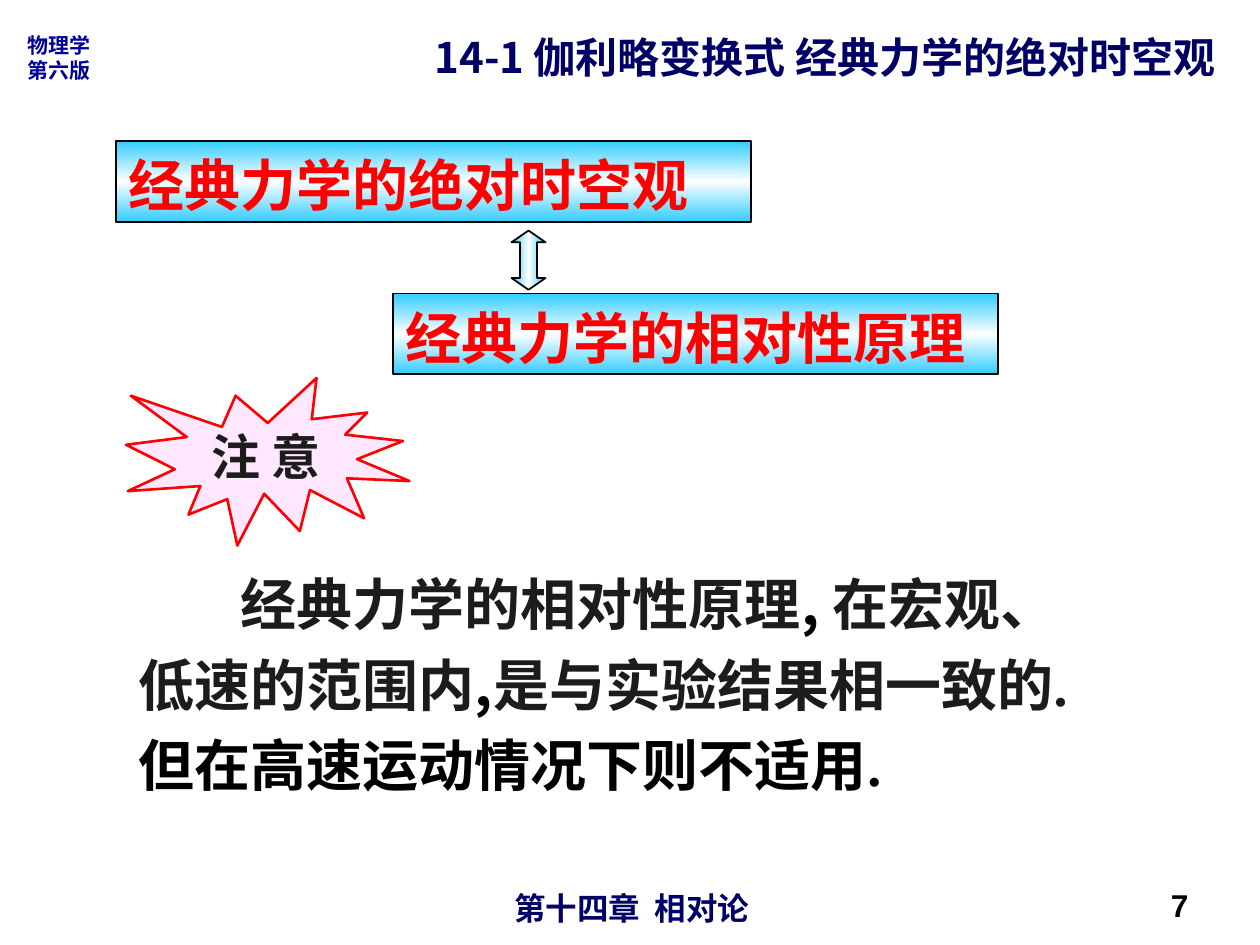
from copy import deepcopy

from lxml.etree import SubElement
from pptx import Presentation
from pptx.dml.color import RGBColor
from pptx.enum.shapes import MSO_SHAPE as Shape
from pptx.enum.text import MSO_ANCHOR as Anchor, PP_ALIGN as Align
from pptx.oxml.ns import qn
from pptx.util import Inches, Pt

ARIAL, NOTO, TIMES = "Arial", "Noto Sans CJK SC", "Times New Roman"
NAVY, BLUE, RED, INK, BLACK = "000066", "000099", "FF0000", "1C1C1C", "000000"
SKY, WHITE, PINK = "33CCFF", "FFFFFF", "FFE7FF"


def color(code):
    return RGBColor.from_string(code)


class SlideBuilder:
    """Holds the page and its style; places are percentages of the slide's size."""

    def __init__(self, deck):
        self.width, self.height = deck.slide_width, deck.slide_height
        self.page = deck.slides.add_slide(deck.slide_layouts[6])
        self.page.background.fill.solid()
        self.page.background.fill.fore_color.rgb = color(WHITE)

    def place(self, left, top, width, height):
        return (round(self.width * left / 100), round(self.height * top / 100),
                round(self.width * width / 100), round(self.height * height / 100))

    def fill_text(self, box, lines, size, anchor=Anchor.TOP, align=Align.LEFT,
                  spacing=None, margin=0.05, indent=0):
        """Each line is a list of (text, font, colour) runs."""
        frame = box.text_frame
        frame.word_wrap = True
        frame.vertical_anchor = anchor
        frame.margin_left = frame.margin_right = Inches(0.1)
        frame.margin_top = frame.margin_bottom = Inches(margin)
        for index, line in enumerate(lines):
            para = frame.add_paragraph() if index else frame.paragraphs[0]
            para.alignment = align
            if spacing:
                para.line_spacing = Pt(spacing)
            if indent:
                para._p.get_or_add_pPr().set("indent", str(Inches(indent)))
            for text, font, code in line:
                span = para.add_run()
                span.text = text
                span.font.name, span.font.size, span.font.bold = font, Pt(size), True
                span.font.color.rgb = color(code)
                SubElement(span._r.get_or_add_rPr(), qn("a:ea"), typeface=NOTO)

    def text(self, place, lines, size, **style):
        box = self.page.shapes.add_textbox(*self.place(*place))
        self.fill_text(box, lines, size, **style)

    def shape(self, kind, place, line, weight, fill=None):
        """Without a fill colour the shape gets the sky gradient."""
        box = self.page.shapes.add_shape(kind, *self.place(*place))
        box.shadow.inherit = False
        box.line.color.rgb = color(line)
        box.line.width = Pt(weight)
        if fill:
            box.fill.solid()
            box.fill.fore_color.rgb = color(fill)
        else:
            self.sky_gradient(box)
        return box

    def sky_gradient(self, box):
        box.fill.gradient()
        box.fill.gradient_angle = 90
        stops = box._element.spPr.find(".//" + qn("a:gsLst"))
        stops.insert(1, deepcopy(stops[0]))
        for stop, code, position in zip(box.fill.gradient_stops, (SKY, WHITE, SKY), (0, 0.5, 1)):
            stop.color.rgb = color(code)
            stop.position = position

    def banner(self, place, text):
        box = self.shape(Shape.RECTANGLE, place, BLACK, 1)
        self.fill_text(box, [[(text, TIMES, RED)]], 32, anchor=Anchor.MIDDLE,
                       spacing=42, margin=0)


def main():
    deck = Presentation()
    deck.slide_width, deck.slide_height = Inches(10), Inches(7.5)
    slide = SlideBuilder(deck)

    # Chapter footer, edition mark and section title
    slide.text((34.3, 93.33, 31.7, 3.87), [[("第十四章  相对论", ARIAL, NAVY)]], 18,
               align=Align.CENTER, spacing=22)
    slide.text((1.2, 2.8, 7.2, 6.67), [[(text, NOTO, BLUE)] for text in ("物理学", "第六版")],
               12, spacing=14.4)
    slide.text((33.5, 1.33, 65.8, 14.13),
               [[("14-1 伽利略变换式 经典力学的绝对时空观", NOTO, NAVY)]], 24, spacing=36)

    # Two linked ideas
    slide.banner((9.2, 14.93, 50.4, 8.53), "经典力学的绝对时空观")
    slide.banner((31.2, 31.07, 48, 8.53), "经典力学的相对性原理")
    arrow = slide.shape(Shape.LEFT_RIGHT_ARROW, (39.6, 25.73, 4.7, 3.6), BLACK, 1)
    arrow.rotation = 270
    arrow.adjustments[0], arrow.adjustments[1] = 0.5, 0.345

    # Attention burst
    slide.shape(Shape.EXPLOSION1, (10, 40, 22.5, 17.73), RED, 1.5, PINK)
    slide.text((15.8, 44.4, 17.5, 7.6), [[("注 意", TIMES, INK)]], 28,
               anchor=Anchor.MIDDLE, margin=0)

    # Remark
    slide.text((10, 57.73, 77.5, 26.93), [[
        ("经典力学的相对性原理", TIMES, INK), (", ", NOTO, BLACK),
        ("在宏观、低速的范围内", TIMES, INK), (",", NOTO, BLACK),
        ("是与实验结果相一致的.", TIMES, INK),
        ("但在高速运动情况下则不适用", ARIAL, BLACK), (".", TIMES, BLACK),
    ]], 32, spacing=46.2, margin=0.08, indent=0.81)

    # Page number
    slide.text((72, 93.07, 23.3, 5.33), [[("7", ARIAL, BLACK)]], 18,
               anchor=Anchor.MIDDLE, align=Align.RIGHT)

    deck.save("out.pptx")


if __name__ == "__main__":
    main()
